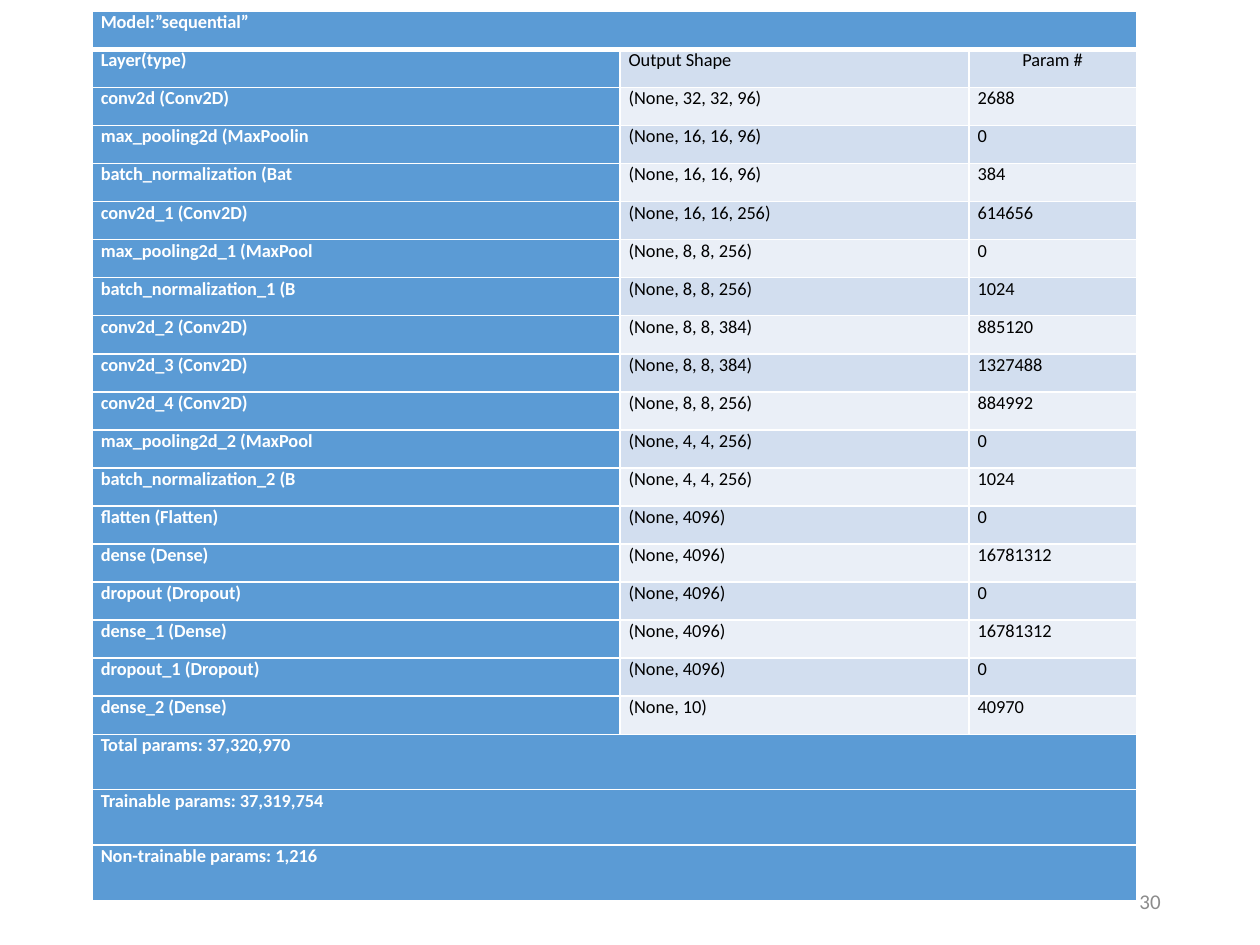
from lxml import etree
from pptx import Presentation
from pptx.dml.color import RGBColor
from pptx.enum import text
from pptx.oxml import ns
from pptx.util import Inches, Pt

BLUE, BAND_DARK, BAND_LIGHT = "5B9BD5", "D2DEEF", "EAEFF7"
WHITE, BLACK, GREY = "FFFFFF", "000000", "8C8C8C"

TITLE = "Model:”sequential”"
LAYERS = [
    ("Layer(type)", "Output Shape", "Param #"),
    ("conv2d (Conv2D)", "(None, 32, 32, 96)", "2688"),
    ("max_pooling2d (MaxPoolin", "(None, 16, 16, 96)", "0"),
    ("batch_normalization (Bat", "(None, 16, 16, 96)", "384"),
    ("conv2d_1 (Conv2D)", "(None, 16, 16, 256)", "614656"),
    ("max_pooling2d_1 (MaxPool", "(None, 8, 8, 256)", "0"),
    ("batch_normalization_1 (B", "(None, 8, 8, 256)", "1024"),
    ("conv2d_2 (Conv2D)", "(None, 8, 8, 384)", "885120"),
    ("conv2d_3 (Conv2D)", "(None, 8, 8, 384)", "1327488"),
    ("conv2d_4 (Conv2D)", "(None, 8, 8, 256)", "884992"),
    ("max_pooling2d_2 (MaxPool", "(None, 4, 4, 256)", "0"),
    ("batch_normalization_2 (B", "(None, 4, 4, 256)", "1024"),
    ("flatten (Flatten)", "(None, 4096)", "0"),
    ("dense (Dense)", "(None, 4096)", "16781312"),
    ("dropout (Dropout)", "(None, 4096)", "0"),
    ("dense_1 (Dense)", "(None, 4096)", "16781312"),
    ("dropout_1 (Dropout)", "(None, 4096)", "0"),
    ("dense_2 (Dense)", "(None, 10)", "40970"),
]
TOTALS = [
    "Total params: 37,320,970",
    "Trainable params: 37,319,754",
    "Non-trainable params: 1,216",
]
COLUMN_WIDTHS = [4.19, 2.77, 1.33]
TOTAL_ROW_HEIGHT = 0.44


def rgb(value):
    return RGBColor.from_string(value)


def write(tf, content, size, color, align, bold=False):
    tf.text = content
    p = tf.paragraphs[0]
    p.alignment = align
    font = p.runs[0].font
    font.name, font.size, font.bold = "Calibri", Pt(size), bold
    font.color.rgb = rgb(color)


def set_borders(cell, top=1, bottom=1):
    """Draw white cell borders; must run before the cell gets its fill."""
    tc_pr = cell._tc.get_or_add_tcPr()
    for side, width in (("L", 1), ("R", 1), ("T", top), ("B", bottom)):
        ln = etree.SubElement(tc_pr, ns.qn(f"a:ln{side}"), w=str(Pt(width)))
        fill = etree.SubElement(ln, ns.qn("a:solidFill"))
        etree.SubElement(fill, ns.qn("a:srgbClr"), val=WHITE)


def style_cell(cell, fill):
    cell.margin_left = cell.margin_right = Inches(0.07)
    cell.margin_top = cell.margin_bottom = 0
    cell.fill.solid()
    cell.fill.fore_color.rgb = rgb(fill)


def add_model_table(s, left, top, width, height):
    rows = [(TITLE,), *LAYERS, *((total,) for total in TOTALS)]
    table = s.shapes.add_table(len(rows), len(COLUMN_WIDTHS), Inches(left),
                               Inches(top), Inches(width), Inches(height)).table
    for column, column_width in zip(table.columns, COLUMN_WIDTHS):
        column.width = Inches(column_width)

    first_total = len(rows) - len(TOTALS)
    row_height = (height - len(TOTALS) * TOTAL_ROW_HEIGHT) / first_total
    for i, values in enumerate(rows):
        table.rows[i].height = Inches(TOTAL_ROW_HEIGHT if i >= first_total else row_height)
        band = BAND_DARK if i % 2 else BAND_LIGHT
        for j in range(len(COLUMN_WIDTHS)):
            cell = table.cell(i, j)
            blue = j == 0 or len(values) == 1
            set_borders(cell, top=3 if i == 1 else 1, bottom=3 if i == 0 else 1)
            style_cell(cell, BLUE if blue else band)
            if j < len(values):
                align = text.PP_ALIGN.JUSTIFY
                if values[j] == "Param #":
                    align = text.PP_ALIGN.CENTER
                elif i == first_total:
                    align = text.PP_ALIGN.LEFT
                write(cell.text_frame, values[j], 10.5,
                      WHITE if blue else BLACK, align, bold=blue)
        if len(values) == 1:
            table.cell(i, 0).merge(table.cell(i, len(COLUMN_WIDTHS) - 1))


def add_page_number(s, number, left, top, width, height):
    box = s.shapes.add_textbox(Inches(left), Inches(top), Inches(width), Inches(height))
    tf = box.text_frame
    tf.word_wrap = True
    tf.vertical_anchor = text.MSO_ANCHOR.MIDDLE
    write(tf, number, 12, GREY, text.PP_ALIGN.RIGHT)


def main():
    prs = Presentation()
    prs.slide_width, prs.slide_height = Inches(10), Inches(7.5)
    s = prs.slides.add_slide(prs.slide_layouts[6])
    add_page_number(s, "30", 7.06, 6.95, 2.25, 0.4)
    add_model_table(s, 0.73, 0.09, sum(COLUMN_WIDTHS), 7.06)
    prs.save("out.pptx")


if __name__ == "__main__":
    main()
